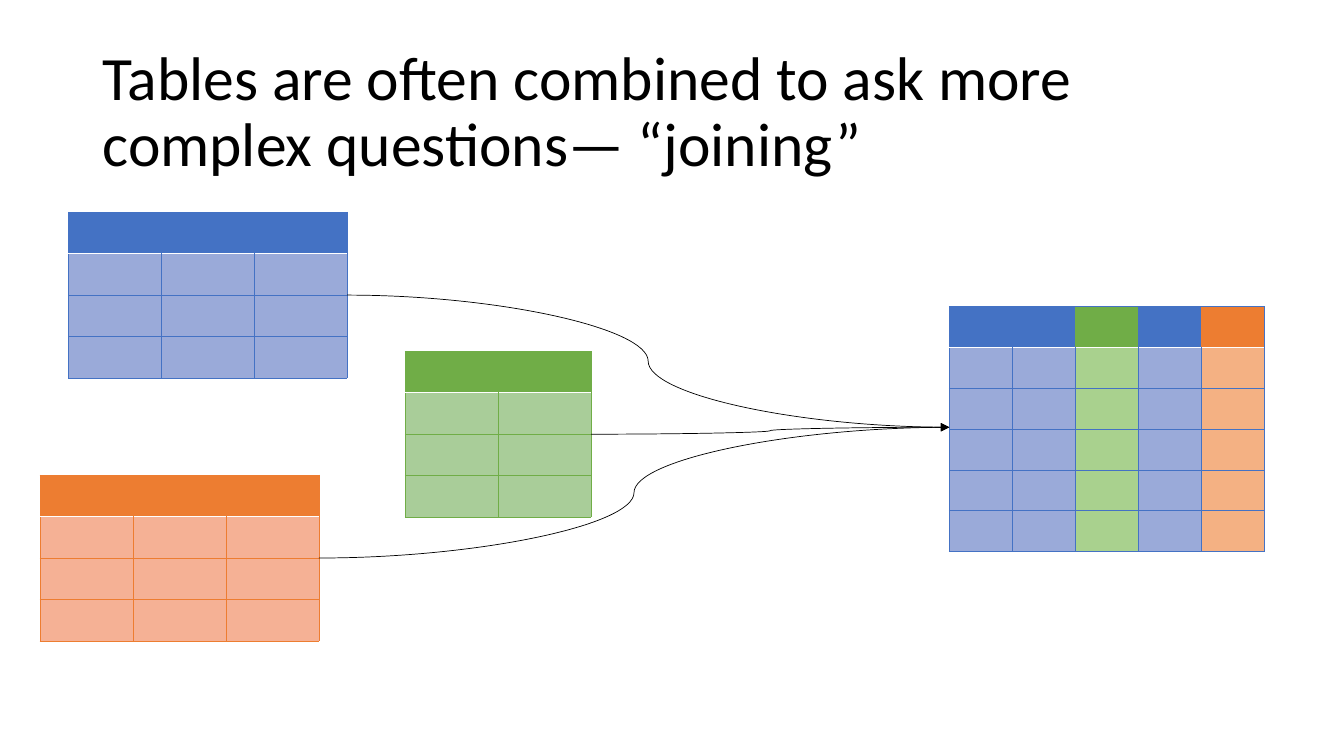
from dataclasses import dataclass

from lxml import etree
from pptx import Presentation
from pptx.dml.color import RGBColor
from pptx.enum.shapes import MSO_CONNECTOR
from pptx.enum.text import MSO_ANCHOR, MSO_AUTO_SIZE, PP_ALIGN
from pptx.oxml.ns import qn
from pptx.util import Pt

CURVE = MSO_CONNECTOR.CURVE
MIDDLE = MSO_ANCHOR.MIDDLE
LEFT = PP_ALIGN.LEFT
NO_FIT = MSO_AUTO_SIZE.NONE
TITLE_ONLY = 5


@dataclass(frozen=True)
class Theme:
    font: str = "Calibri"
    title: int = 44
    ink: str = "000000"
    white: str = "FFFFFF"
    # Each pair is a header colour and a body colour
    blue: tuple = ("4472C4", "9AAAD9")
    orange: tuple = ("ED7D31", "F5B195")
    green: tuple = ("70AD47", "A9CD99")
    lime: tuple = ("70AD47", "A9D18E")
    peach: tuple = ("ED7D31", "F4B183")
    thin: float = 0.5
    rule: float = 1


THEME = Theme()


def add_title(slide, text):
    title = slide.shapes.title
    title.left, title.top = Pt(66), Pt(28.75)
    title.width, title.height = Pt(828), Pt(104.4)
    frame = title.text_frame
    frame.text = text
    frame.word_wrap = True
    frame.auto_size = NO_FIT
    frame.vertical_anchor = MIDDLE
    para = frame.paragraphs[0]
    para.alignment = LEFT
    para.line_spacing = 0.9
    font = para.runs[0].font
    font.name, font.size = THEME.font, Pt(THEME.title)
    font.color.rgb = RGBColor.from_string(THEME.ink)


def set_edges(cell, edges):
    """Draw the left, right, top and bottom edges; None hides one."""
    props = cell._tc.get_or_add_tcPr()
    for spot, (side, edge) in enumerate(zip("LRTB", edges)):
        line = etree.Element(qn(f"a:ln{side}"))
        if edge:
            color, width = edge
            line.set("w", str(Pt(width)))
            fill = etree.SubElement(line, qn("a:solidFill"))
            etree.SubElement(fill, qn("a:srgbClr"), val=color)
        else:
            line.set("w", "0")
            etree.SubElement(line, qn("a:noFill"))
        props.insert(spot, line)


def add_grid(slide, left, top, cell_w, cell_h, rows, hues):
    """Add an empty table with one hue per column, edged in the first hue."""
    cols = len(hues)
    table = slide.shapes.add_table(
        rows, cols, Pt(left), Pt(top), Pt(cell_w * cols), Pt(cell_h * rows)
    ).table
    table.first_row = table.horz_banding = False
    for col in table.columns:
        col.width = Pt(cell_w)
    for row in table.rows:
        row.height = Pt(cell_h)

    edge = (hues[0][0], THEME.thin)
    rule = (THEME.white, THEME.rule)
    for r in range(rows):
        for c, (head, body) in enumerate(hues):
            cell = table.cell(r, c)
            cell.fill.solid()
            cell.fill.fore_color.rgb = RGBColor.from_string(body if r else head)
            if r == 0:
                first = edge if c == 0 else None
                last = edge if c == cols - 1 else None
                set_edges(cell, (first, last, edge, rule))
            else:
                set_edges(cell, (edge, edge, rule if r == 1 else edge, edge))


def add_curve(slide, start, end):
    curve = slide.shapes.add_connector(CURVE, *map(Pt, start + end))
    curve.line.color.rgb = RGBColor.from_string(THEME.ink)
    curve.line.width = Pt(THEME.thin)
    etree.SubElement(curve.line._get_or_add_ln(), qn("a:tailEnd"), type="triangle")
    etree.SubElement(curve._element.spPr, qn("a:effectLst"))


def main():
    deck = Presentation()
    deck.slide_width, deck.slide_height = Pt(960), Pt(540)
    slide = deck.slides.add_slide(deck.slide_layouts[TITLE_ONLY])
    add_title(
        slide, "Tables are often combined to ask more complex questions— “joining”"
    )

    # Source tables
    cell_w, cell_h, rows = 66.4, 29.6, 4
    parts = [
        (48.8, 151.6, [THEME.blue] * 3),
        (28.6, 339.4, [THEME.orange] * 3),
        (289.4, 251, [THEME.green] * 2),
    ]
    for left, top, hues in parts:
        add_grid(slide, left, top, cell_w, cell_h, rows, hues)

    # Joined table
    mix = [THEME.blue, THEME.blue, THEME.lime, THEME.blue, THEME.peach]
    add_grid(slide, 678, 218.8, 45, 29.2, 6, mix)

    # Curves from each source to the joined table
    for left, top, hues in parts:
        start = (left + cell_w * len(hues), top + cell_h * rows / 2)
        add_curve(slide, start, (678, 305.2))

    deck.save("out.pptx")


if __name__ == "__main__":
    main()
